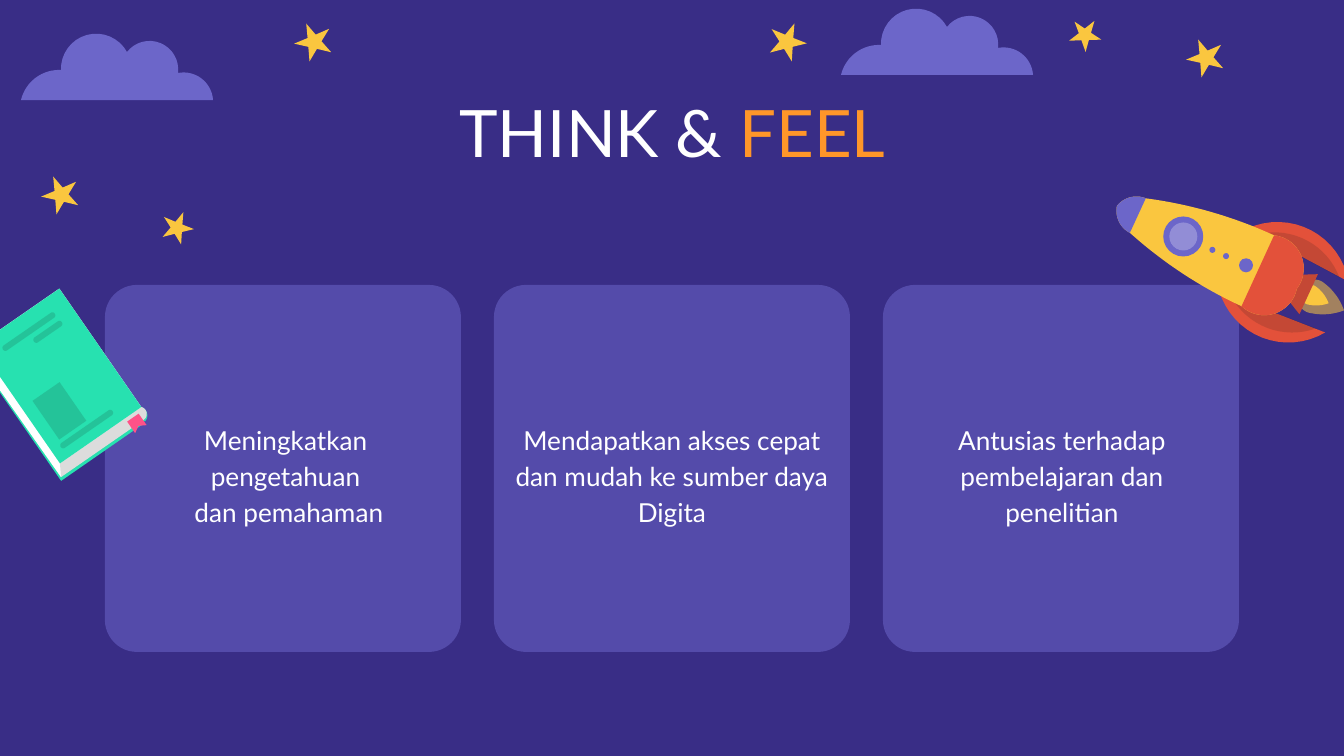
"""Build the THINK & FEEL slide: three text cards on a night sky with a rocket and a book."""
from dataclasses import dataclass
from math import atan, cos, hypot, pi, radians, sin

from lxml import etree
from pptx import Presentation
from pptx import util as u
from pptx.dml.color import RGBColor
from pptx.enum import shapes as kinds, text
from pptx.oxml.ns import qn

EMU_PER_PX = 914400 / 134.4


@dataclass(frozen=True)
class Theme:
    """Colours, font and type sizes."""
    night: str = "392D86"
    violet: str = "6C66C9"
    yellow: str = "FAC63F"
    red: str = "E3513A"
    green: str = "27E1B0"
    pink: str = "FF5288"
    orange: str = "FF9629"
    white: str = "FFFFFF"
    shade: str = "191919"
    font: str = "Lato"
    title_size: int = 35
    body_size: int = 14


@dataclass(frozen=True)
class Frame:
    """A drawing's own axes: origin on the slide, turn in degrees and scale."""
    x: int
    y: int
    angle: float = 0
    scale: float = 1

    def place(self, x, y):
        """Turn a point of the drawing into a point of the slide."""
        c, s = self.scale * cos(radians(self.angle)), self.scale * sin(radians(self.angle))
        return self.x + c * x - s * y, self.y + s * x + c * y


THEME = Theme()
CLOUDS = [Frame(841, 8), Frame(21, 33)]
STARS = [Frame(314, 42), Frame(787, 42, 45), Frame(1085, 35, -15, 0.85),
         Frame(1206, 58), Frame(61, 195), Frame(177, 228, 45, 0.85)]
ROCKET = Frame(1117, 206, 24.7)
BOOK = Frame(-22, 345, -34.7)
CARDS = [
    (117, ["Meningkatkan ", "pengetahuan ", "dan pemahaman"]),
    (500, ["Mendapatkan akses cepat dan mudah ke sumber daya Digita"]),
    (890, ["Antusias terhadap pembelajaran dan penelitian"])]


def px(length):
    """Turn pixels into EMU."""
    return u.Emu(round(length * EMU_PER_PX))


def arc(start, end, height, steps=16):
    """Return points of a circular arc rising the given height above its chord."""
    (x, y), dx, dy = start, end[0] - start[0], end[1] - start[1]
    chord = hypot(dx, dy)
    half = 2 * atan(2 * height / chord)
    radius = chord / (2 * sin(half))
    points = []
    for step in range(steps + 1):
        turn = half * (2 * step / steps - 1)
        along = 0.5 + radius * sin(turn) / chord
        above = radius * (cos(turn) - cos(half)) / chord
        points.append((x + along * dx + above * dy, y + along * dy - above * dx))
    return points


def trace(*corners):
    """Join clockwise corners (x, y, height of the arc to the next corner)."""
    points = []
    for (x, y, height), (next_x, next_y, _) in zip(corners, corners[1:] + corners[:1]):
        points += arc((x, y), (next_x, next_y), height)[:-1] if height else [(x, y)]
    return points


def mirror(points):
    """Reflect points across the long axis of a drawing."""
    return [(x, -y) for x, y in reversed(points)]


def symmetric(*upper_corners):
    """Trace the upper half of a form and add its reflection."""
    upper = trace(*upper_corners)
    return upper + mirror(upper)


def box(left, top, width, height, end_arc=0):
    """Return a rectangle whose short ends may be arcs."""
    right, bottom = left + width, top + height
    return trace((left, top, 0), (right, top, end_arc), (right, bottom, 0), (left, bottom, end_arc))


def paint(shape, color, opacity=100):
    """Give a shape a flat fill without line or shadow."""
    shape.shadow.inherit = False
    shape.line.fill.background()
    shape.fill.solid()
    shape.fill.fore_color.rgb = RGBColor.from_string(color)
    if opacity < 100:
        tint = shape.element.spPr.find(qn("a:solidFill"))[0]
        etree.SubElement(tint, qn("a:alpha")).set("val", str(opacity * 1000))


def add_outline(shapes, frame, points, color, opacity=100):
    """Draw a closed filled outline given in a drawing's own axes."""
    first, *others = [tuple(map(px, frame.place(x, y))) for x, y in points]
    builder = shapes.build_freeform(*first, scale=1.0)
    builder.add_line_segments(others, close=True)
    paint(builder.convert_to_shape(), color, opacity)


def add_disc(shapes, frame, along, radius, color, opacity=100):
    """Draw a disc on the long axis of a drawing."""
    x, y = frame.place(along, 0)
    sides = map(px, (x - radius, y - radius, 2 * radius, 2 * radius))
    paint(shapes.add_shape(kinds.MSO_SHAPE.OVAL, *sides), color, opacity)


def add_cloud(shapes, frame):
    """Draw a cloud of four arcs on a flat base."""
    bumps = trace((0, 67, 9), (40, 37, 27), (106, 19, 21), (157, 40, 10), (192, 67, 0))
    add_outline(shapes, frame, bumps, THEME.violet)


def add_star(shapes, frame, outer=20, inner=7.5, start=-113):
    """Draw a five-pointed star by alternating two radii."""
    points = []
    for index in range(10):
        radius, turn = (inner if index % 2 else outer), radians(start) + index * pi / 5
        points.append((radius * cos(turn), radius * sin(turn)))
    add_outline(shapes, frame, points, THEME.yellow)


def add_rocket(shapes, frame):
    """Draw a rocket along its axis, from the nose at zero to the flame."""
    nose, shoulder, end = (0, 0, 5), (23, -19, 5), (198, 0, 0)
    waist = (155, -39, 17)
    fin = trace((128, -34, 28), (242, -28, 0), (141, -34, 0))
    fin_shade = trace((141, -34, 17), (232, -28, 0))
    nozzle = symmetric((193, -13, 0), (211, -22, 0))

    for side in (list, mirror):
        add_outline(shapes, frame, side(fin), THEME.red)
        add_outline(shapes, frame, side(fin_shade), THEME.shade, 15)
    for start, length, half_width, opacity in [(202, 48, 17, 55), (204, 29, 10, 100)]:
        flame = symmetric((start, 0, half_width / 3),
                          (start + length / 3, -half_width, half_width / 6),
                          (start + length, 0, 0))
        add_outline(shapes, frame, flame, THEME.yellow, opacity)
    add_outline(shapes, frame, nozzle, THEME.red)
    add_outline(shapes, frame, nozzle, THEME.shade, 15)
    add_outline(shapes, frame, symmetric(nose, shoulder, waist, end), THEME.yellow)
    add_outline(shapes, frame, symmetric(waist, end), THEME.red)
    add_outline(shapes, frame, symmetric(nose, (*shoulder[:2], 0)), THEME.violet)
    for along, radius in [(73, 20), (105, 3), (120, 3), (142, 7)]:
        add_disc(shapes, frame, along, radius, THEME.violet)
    add_disc(shapes, frame, 73, 14, THEME.white, 26)


def add_book(shapes, frame, width=99, height=144):
    """Draw a book from its back cover up to the print on its front."""
    page_left, page_right, page_bottom = -7, width - 5, height + 12
    ribbon_left, ribbon_right, ribbon_top, ribbon_bottom = 79, 93, 148, 162
    back = box(-9, 15, width, height)
    spine = trace((80, height, 0), (width, height, 4), (page_right, height + 14, 0))
    pages = trace((0, 0, 0), (width, 0, 0), (width, height, 4),
                  (page_right, page_bottom, 0), (page_left, page_bottom, 0), (-8, 14, 0))
    page_shade = trace((0, height, 0), (width, height, 4),
                       (page_right, page_bottom, 0), (page_left, page_bottom, 0))
    ribbon = trace((ribbon_left, ribbon_top, 0), (ribbon_right, ribbon_top, 0),
                   (ribbon_right, ribbon_bottom, 0),
                   ((ribbon_left + ribbon_right) / 2, ribbon_bottom - 4, 0),
                   (ribbon_left, ribbon_bottom, 0))

    add_outline(shapes, frame, back, THEME.green)
    add_outline(shapes, frame, spine, THEME.green)
    add_outline(shapes, frame, pages, THEME.white)
    add_outline(shapes, frame, page_shade, THEME.shade, 15)
    add_outline(shapes, frame, ribbon, THEME.pink)
    add_outline(shapes, frame, box(0, 0, width, height), THEME.green)
    add_outline(shapes, frame, box(13, 77, 33, 47), THEME.shade, 15)
    for left, top, length in [(21, 15, 57), (51, 26, 28), (13, 128, 57)]:
        add_outline(shapes, frame, box(left, top, length, 6, end_arc=3), THEME.shade, 15)


def add_card(shapes, index):
    """Draw one of the equally spaced translucent cards."""
    sides = map(px, (105 + 389 * index, 285, 356, 367))
    card = shapes.add_shape(kinds.MSO_SHAPE.ROUNDED_RECTANGLE, *sides)
    card.adjustments[0] = 0.09
    paint(card, THEME.violet, 54)


def write_placeholder(shape, sides, paragraphs, size, spacing):
    """Move a placeholder to the front and fill it with centred (words, colour) runs."""
    shape.element.getparent().append(shape.element)
    shape.left, shape.top, shape.width, shape.height = map(px, sides)
    frame = shape.text_frame
    frame.auto_size = text.MSO_AUTO_SIZE.NONE
    frame.word_wrap = True
    frame.vertical_anchor = text.MSO_ANCHOR.TOP
    frame.margin_left = frame.margin_right = frame.margin_top = frame.margin_bottom = u.Inches(0.1)
    for index, runs in enumerate(paragraphs):
        paragraph = frame.add_paragraph() if index else frame.paragraphs[0]
        paragraph.alignment = text.PP_ALIGN.CENTER
        paragraph.line_spacing = spacing
        paragraph.space_before = u.Pt(0)
        paragraph.font.name, paragraph.font.size = THEME.font, u.Pt(size)
        paragraph.font.bold = False
        properties = paragraph._p.get_or_add_pPr()
        properties.set("marL", "0")
        properties.set("indent", "0")
        properties.insert_element_before(properties.makeelement(qn("a:buNone")), "a:defRPr")
        for words, color in runs:
            run = paragraph.add_run()
            run.text = words
            run.font.color.rgb = RGBColor.from_string(color)


def main():
    """Build and save the slide."""
    presentation = Presentation()
    presentation.slide_width, presentation.slide_height = px(1344), px(756)
    slide = presentation.slides.add_slide(presentation.slide_layouts.get_by_name("Comparison"))
    slide.background.fill.solid()
    slide.background.fill.fore_color.rgb = RGBColor.from_string(THEME.night)
    title, *bodies, spare = list(slide.placeholders)
    spare.element.getparent().remove(spare.element)

    for frame in CLOUDS:
        add_cloud(slide.shapes, frame)
    for frame in STARS:
        add_star(slide.shapes, frame)
    for index, (body, (left, lines)) in enumerate(zip(bodies, CARDS)):
        add_card(slide.shapes, index)
        write_placeholder(body, (left, 406, 344, 126),
                          [[(line, THEME.white)] for line in lines], THEME.body_size, 1.15)
    write_placeholder(title, (106, 79, 1133, 85),
                      [[("THINK & ", THEME.white), ("FEEL", THEME.orange)]], THEME.title_size, 1.0)
    add_rocket(slide.shapes.add_group_shape().shapes, ROCKET)
    add_book(slide.shapes.add_group_shape().shapes, BOOK)
    presentation.save("out.pptx")


if __name__ == "__main__":
    main()
